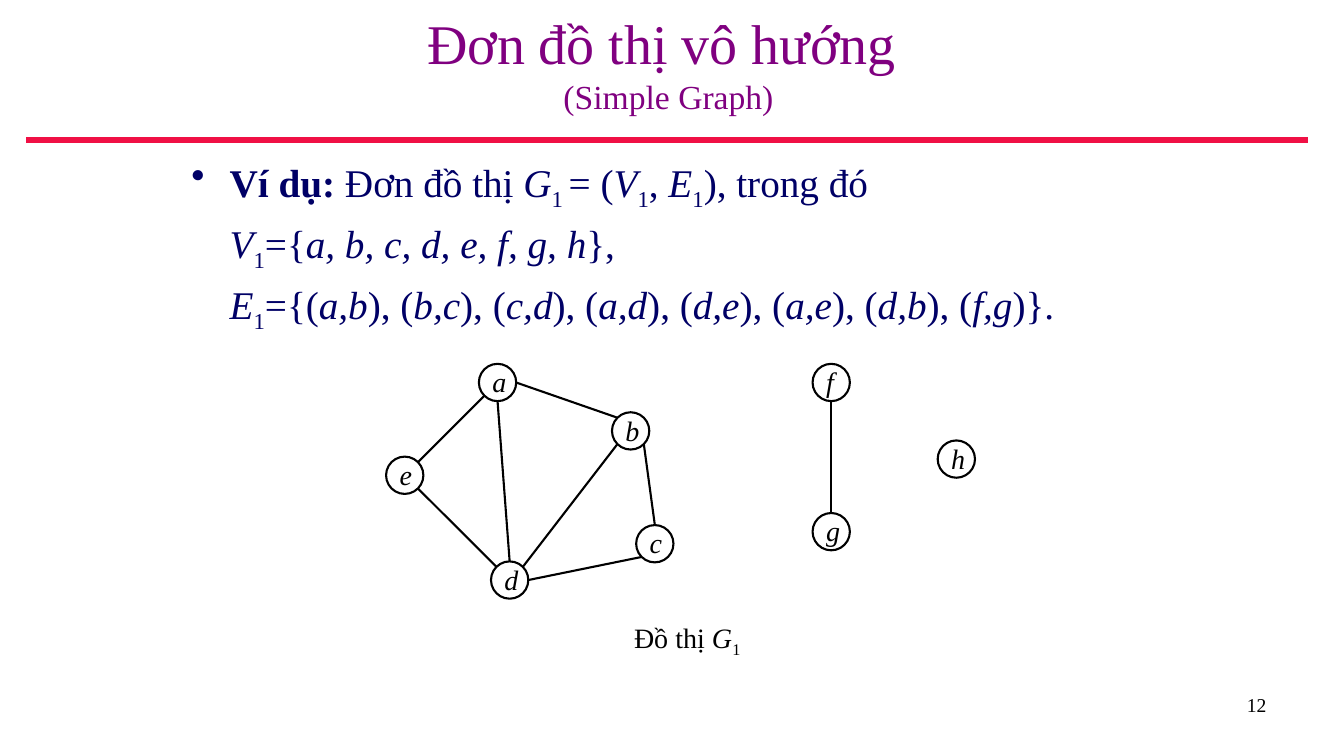
import math

from pptx import Presentation
from pptx.dml.color import RGBColor
from pptx.enum.shapes import MSO_CONNECTOR, MSO_SHAPE
from pptx.enum.text import MSO_ANCHOR, MSO_AUTO_SIZE, PP_ALIGN
from pptx.oxml.ns import qn
from pptx.util import Inches, Pt

STRAIGHT = MSO_CONNECTOR.STRAIGHT
OVAL = MSO_SHAPE.OVAL
TOP, MIDDLE = MSO_ANCHOR.TOP, MSO_ANCHOR.MIDDLE
LEFT, CENTER = PP_ALIGN.LEFT, PP_ALIGN.CENTER
RIGHT, JUSTIFY = PP_ALIGN.RIGHT, PP_ALIGN.JUSTIFY

FONT = "Times New Roman"
COLORS = {"title": "800080", "rule": "F01045", "body": "000066", "ink": "000000"}

# Graph grid: first vertex at the origin, positions in columns and rows
ORIGIN_X, ORIGIN_Y, STEP = 4.75, 3.61, 0.12
DIAMETER = 0.37
VERTICES = {
    "a": (0, 0), "b": (11, 4), "e": (-7.67, 7.67), "d": (1, 16.33),
    "c": (13, 13.33), "g": (27.58, 12.33), "f": (27.58, 0), "h": (37.92, 6.33),
}
# Angles in degrees, clockwise from the right, where an edge meets a circle
SITES = {"E": 0, "SE": 45, "S": 90, "SW": 135, "NW": 225, "N": 270, "NE": 315}
EDGES = [
    ("e", "NE", "a", "SW"), ("e", "SE", "d", "NW"), ("a", "S", "d", "N"),
    ("a", "E", "b", "NW"), ("b", "SW", "d", "NE"), ("b", "SE", "c", "N"),
    ("d", "E", "c", "SW"), ("f", "S", "g", "N"),
]

# Markup: * toggles bold, / toggles italic, ~ toggles subscript
BODY = [
    "*Ví dụ:* Đơn đồ thị /G/~1 ~= (/V/~1~, /E/~1~), trong đó",
    "/V/~1~={/a, b, c, d, e, f, g, h/},",
    "/E/~1~={(/a,b/), (/b,c/), (/c,d/), (/a,d/), (/d,e/), (/a,e/), (/d,b/), (/f,g/)}.",
]


def rgb(name):
    return RGBColor.from_string(COLORS[name])


def format_font(font, size, color):
    font.name = FONT
    font.size = Pt(size)
    font.color.rgb = rgb(color)


def add_marked_text(paragraph, markup, size, color):
    active, piece = set(), ""
    for character in markup + "*":
        if character not in "*/~":
            piece += character
            continue
        if piece:
            run = paragraph.add_run()
            run.text = piece
            format_font(run.font, size, color)
            run.font.bold = "*" in active
            run.font.italic = "/" in active
            if "~" in active:
                run.font._element.set("baseline", "-25000")
            piece = ""
        active ^= {character}


def add_text_box(slide, left, top, width, height, lines, size, color, alignment=LEFT):
    box = slide.shapes.add_textbox(*map(Inches, (left, top, width, height)))
    text_frame = box.text_frame
    text_frame.word_wrap = True
    for index, line in enumerate(lines):
        paragraph = text_frame.paragraphs[0] if index == 0 else text_frame.add_paragraph()
        paragraph.alignment = alignment
        add_marked_text(paragraph, line, size, color)
    return text_frame


def add_line(slide, start, end, color, width):
    line = slide.shapes.add_connector(STRAIGHT, *map(Inches, (*start, *end)))
    line.line.color.rgb = rgb(color)
    line.line.width = Pt(width)
    properties = line._element.spPr
    properties.append(properties.makeelement(qn("a:effectLst"), {}))


def set_title(slide):
    title = slide.shapes.title
    title.left, title.top, title.width, title.height = map(Inches, (0.26, 0, 12.74, 1.23))
    text_frame = title.text_frame
    text_frame.auto_size = MSO_AUTO_SIZE.NONE
    text_frame.vertical_anchor = MIDDLE
    paragraph = text_frame.paragraphs[0]
    paragraph.text = "Đơn đồ thị vô hướng \v(Simple Graph)"
    paragraph.alignment = CENTER
    for run, size in zip(paragraph.runs, (40, 24)):
        format_font(run.font, size, "title")


def add_body(slide):
    text_frame = add_text_box(slide, 1.8, 1.55, 9.63, 5.39, BODY, 28, "body", JUSTIFY)
    for index, paragraph in enumerate(text_frame.paragraphs):
        paragraph.line_spacing = 0.85
        properties = paragraph._p.get_or_add_pPr()
        properties.set("marL", str(Inches(0.38)))
        if index == 0:
            properties.set("indent", str(Inches(-0.38)))
            bullet = properties.makeelement(qn("a:buChar"), {"char": "•"})
            properties.append(bullet)
        else:
            # Space before as a share of the line
            paragraph.space_before = Pt(0)
            spacing = properties.find(qn("a:spcBef"))
            spacing.remove(spacing[0])
            spacing.append(spacing.makeelement(qn("a:spcPct"), {"val": "40000"}))


def vertex_corner(name):
    column, row = VERTICES[name]
    return ORIGIN_X + column * STEP, ORIGIN_Y + row * STEP


def site_point(name, site):
    left, top = vertex_corner(name)
    radius, angle = DIAMETER / 2, math.radians(SITES[site])
    return (left + radius * (1 + math.cos(angle)),
            top + radius * (1 + math.sin(angle)))


def add_vertex(slide, name):
    left, top = vertex_corner(name)
    circle = slide.shapes.add_shape(OVAL, *map(Inches, (left, top, DIAMETER, DIAMETER)))
    circle.shadow.inherit = False
    circle.fill.background()
    circle.line.color.rgb = rgb("ink")
    circle.line.width = Pt(1.5)
    text_frame = circle.text_frame
    text_frame.margin_left = Inches(0.08)
    text_frame.margin_right = text_frame.margin_top = 0
    text_frame.margin_bottom = Inches(0.02)
    text_frame.vertical_anchor = MIDDLE
    text_frame.text = name
    paragraph = text_frame.paragraphs[0]
    paragraph.alignment = LEFT
    format_font(paragraph.runs[0].font, 20, "ink")
    paragraph.runs[0].font.italic = True


def main():
    presentation = Presentation()
    presentation.slide_width = Inches(13.33)
    presentation.slide_height = Inches(7.5)
    slide = presentation.slides.add_slide(presentation.slide_layouts[5])

    # Heading, rule and page number
    set_title(slide)
    add_line(slide, (0.26, 1.39), (12.97, 1.39), "rule", 4.5)
    add_text_box(slide, 9.55, 6.82, 3.11, 0.52, ["12"], 14, "ink", RIGHT)

    # Definition and caption
    add_body(slide)
    add_text_box(slide, 6.19, 6.11, 1.34, 0.43, ["Đồ thị /G/~1~"], 20, "ink")

    # Graph
    for name in VERTICES:
        add_vertex(slide, name)
    for start, start_site, end, end_site in EDGES:
        add_line(slide, site_point(start, start_site), site_point(end, end_site), "ink", 1.5)

    presentation.save("out.pptx")


if __name__ == "__main__":
    main()
